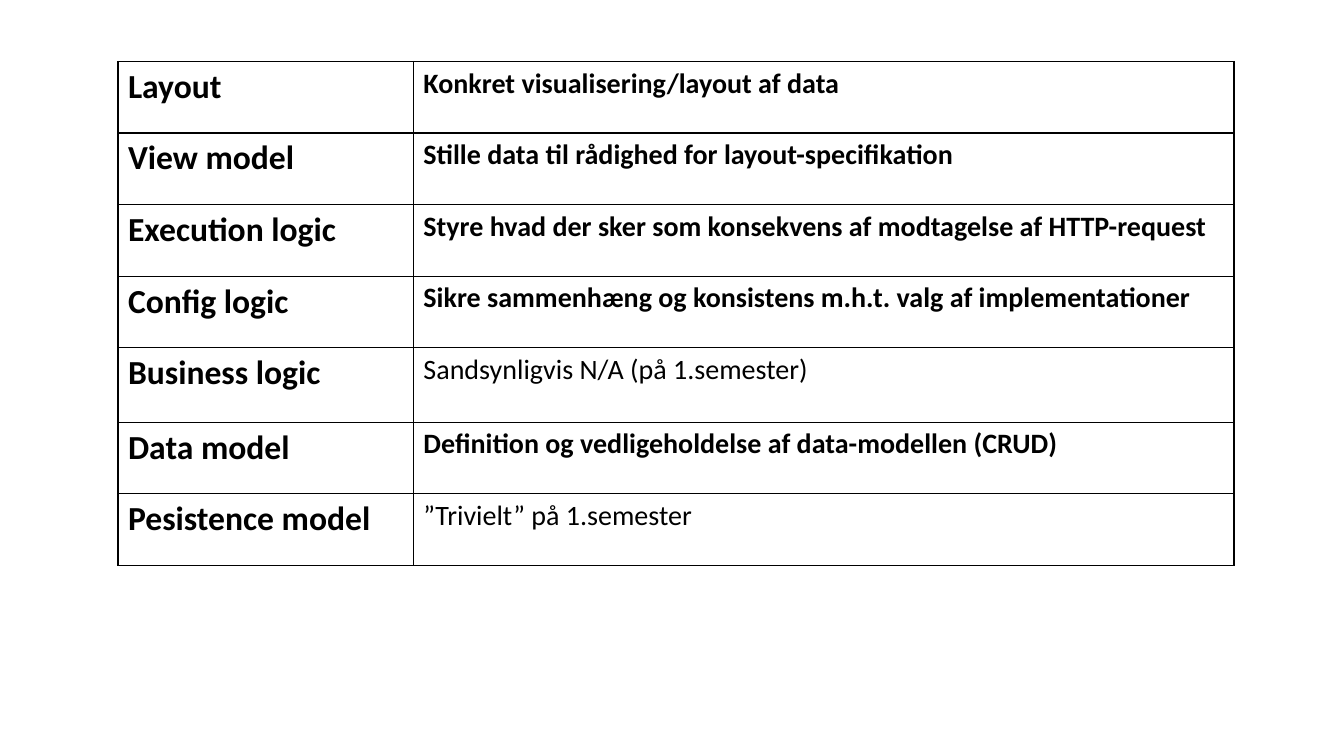
"""Build a slide with a table of application layers and their responsibilities."""
import pptx
import pptx.dml.color
import pptx.oxml
import pptx.oxml.ns
import pptx.util
from pptx.util import Inches

BLACK = pptx.dml.color.RGBColor(0x00, 0x00, 0x00)
BORDER = (
    '<a:{side} {ns} w="12700"><a:solidFill><a:srgbClr val="{color}"/></a:solidFill></a:{side}>'
)
LAYERS = [
    ("Layout", "Konkret visualisering/layout af data", True),
    ("View model", "Stille data til rådighed for layout-specifikation", True),
    ("Execution logic", "Styre hvad der sker som konsekvens af modtagelse af HTTP-request", True),
    ("Config logic", "Sikre sammenhæng og konsistens m.h.t. valg af implementationer", True),
    ("Business logic", "Sandsynligvis N/A (på 1.semester)", False),
    ("Data model", "Definition og vedligeholdelse af data-modellen (CRUD)", True),
    ("Pesistence model", "”Trivielt” på 1.semester", False),
]

presentation = pptx.Presentation()
presentation.slide_width = Inches(13.33)
presentation.slide_height = Inches(7.5)
slide = presentation.slides.add_slide(presentation.slide_layouts[6])

layers = slide.shapes.add_table(
    len(LAYERS), 2, Inches(1.17), Inches(0.61), Inches(11.07), Inches(5)
).table
layers.first_row = False
layers.horz_banding = False
layers.columns[0].width = Inches(2.93)
layers.columns[1].width = Inches(8.14)

for row, (layer, duty, emphasized) in enumerate(LAYERS):
    layers.rows[row].height = Inches(0.74 if layer == "Business logic" else 0.71)
    for column, (text, size, bold) in enumerate([(layer, 24, True), (duty, 20, emphasized)]):
        cell = layers.cell(row, column)
        cell.text = text
        font = cell.text_frame.paragraphs[0].font
        font.name = "Calibri"
        font.size = pptx.util.Pt(size)
        font.bold = bold
        font.color.rgb = BLACK
        properties = cell._tc.get_or_add_tcPr()
        for side in ("lnL", "lnR", "lnT", "lnB"):
            border = BORDER.format(side=side, ns=pptx.oxml.ns.nsdecls("a"), color=BLACK)
            properties.append(pptx.oxml.parse_xml(border))
        cell.fill.background()

presentation.save("out.pptx")
